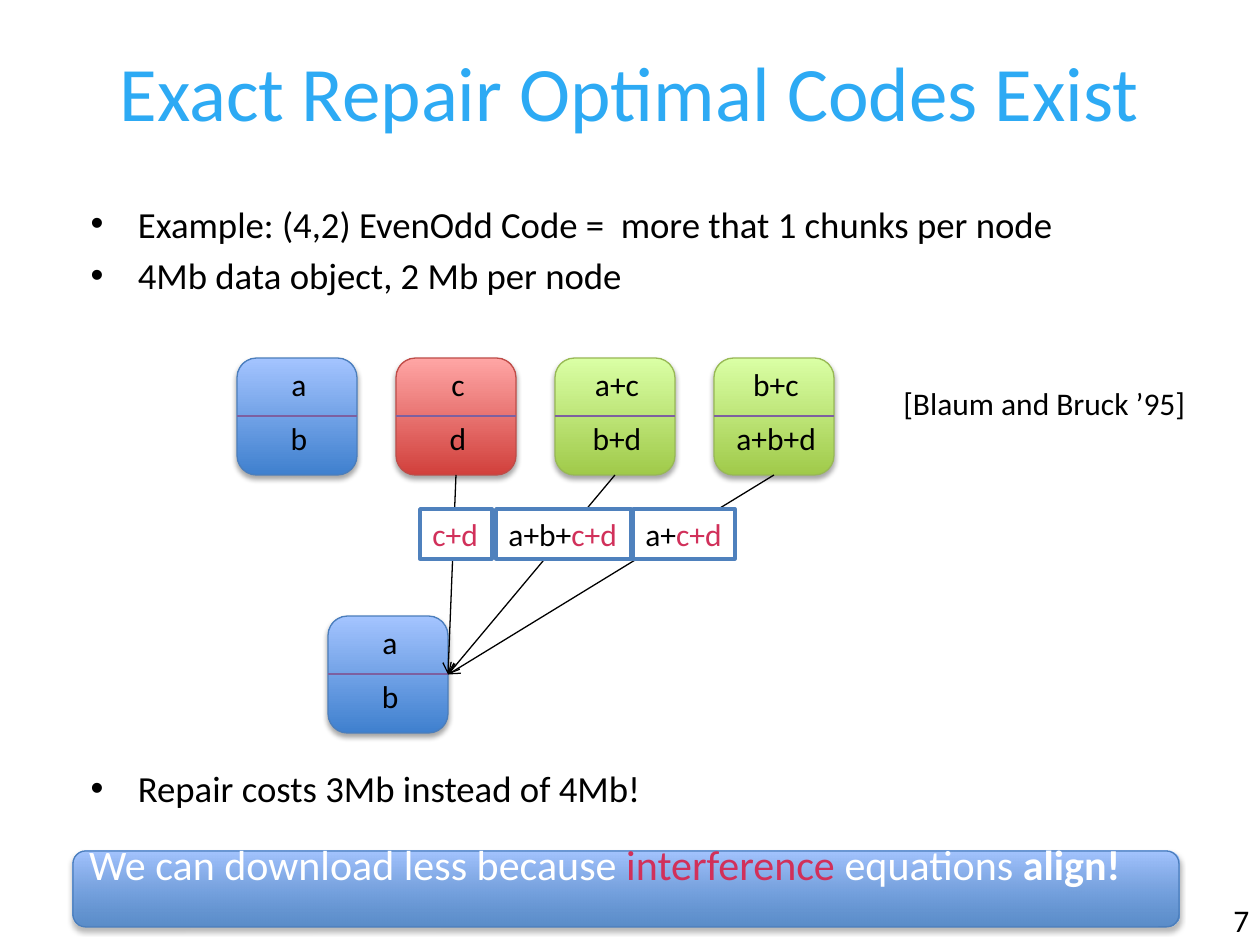
from lxml.etree import SubElement
from pptx import Presentation
from pptx.dml.color import RGBColor
from pptx.enum.shapes import MSO_CONNECTOR, MSO_SHAPE
from pptx.enum.text import MSO_ANCHOR, MSO_AUTO_SIZE, PP_ALIGN
from pptx.oxml.ns import qn
from pptx.util import Emu, Pt

FONT = "Calibri"
BLACK, WHITE, CRIMSON, SKY = "000000", "FFFFFF", "D1305A", "2DAAF4"
BLUE = ("3F80CE", "A4C4FF", "4B7EBC")
RED = ("D1403C", "FFA6A5", "BF4C48")
GREEN = ("A0CA4A", "DAFFA5", "98B955")
NODE_W, NODE_H, NODE_PITCH = 120, 117, 159
LABEL_WIDTHS = {"a": 40, "b": 42, "c": 39, "d": 42,
                "a+c": 71, "b+d": 74, "b+c": 72, "a+b+d": 106}


def px(n):
    return Emu(round(n * 914400 / 126))


def rgb(value):
    return RGBColor.from_string(value)


def add_run(p, text, size, color=BLACK, bold=None):
    r = p.add_run()
    r.text = text
    r.font.name = FONT
    r.font.size = Pt(size)
    r.font.color.rgb = rgb(color)
    r.font.bold = bold


def fill_placeholder(sp, box, paragraphs, size, color):
    sp.left, sp.top, sp.width, sp.height = map(px, box)
    tf = sp.text_frame
    tf.auto_size = MSO_AUTO_SIZE.NONE
    tf.vertical_anchor = MSO_ANCHOR.TOP
    for i, (text, before) in enumerate(paragraphs):
        p = tf.add_paragraph() if i else tf.paragraphs[0]
        p.space_before = Pt(before)
        add_run(p, text, size, color)


def add_text(s, x, y, w, text, align=PP_ALIGN.LEFT):
    tf = s.shapes.add_textbox(px(x), px(y), px(w), px(50)).text_frame
    tf.word_wrap = False
    p = tf.paragraphs[0]
    p.alignment = align
    add_run(p, text, 18)


def add_line(s, x1, y1, x2, y2, color):
    line = s.shapes.add_connector(MSO_CONNECTOR.STRAIGHT, px(x1), px(y1), px(x2), px(y2))
    line.line.color.rgb = rgb(color)
    line.line.width = Pt(0.75)
    SubElement(line._element.spPr, qn("a:effectLst"))
    return line


def add_arrow(s, source, target):
    arrow = add_line(s, 0, 0, 0, 0, BLACK)
    arrow.begin_connect(source, 2)
    arrow.end_connect(target, 3)
    SubElement(arrow.line._get_or_add_ln(), qn("a:tailEnd"), type="arrow")


def add_panel(s, x, y, w, h, colors):
    dark, light, border = colors
    sp = s.shapes.add_shape(MSO_SHAPE.ROUNDED_RECTANGLE, px(x), px(y), px(w), px(h))
    sp.fill.gradient()
    sp.fill.gradient_angle = 90
    for stop, color, position in zip(sp.fill.gradient_stops, (dark, light), (0, 1)):
        stop.color.rgb = rgb(color)
        stop.position = position
    sp.line.color.rgb = rgb(border)
    sp.line.width = Pt(0.75)
    sp.shadow.inherit = False
    effects = sp._element.spPr.find(qn("a:effectLst"))
    shadow = SubElement(effects, qn("a:outerShdw"), blurRad="39370", dist="22860",
                        dir="5400000", rotWithShape="0")
    color = SubElement(shadow, qn("a:srgbClr"), val=BLACK)
    SubElement(color, qn("a:alpha"), val="35000")
    return sp


def add_node(s, x, y, chunks, colors):
    node = add_panel(s, x, y, NODE_W, NODE_H, colors)
    add_line(s, x, y + 58, x + NODE_W, y + 58, "7D60A0")
    for text, dy in zip(chunks, (1, 55)):
        w = LABEL_WIDTHS[text]
        add_text(s, x + 2 + (NODE_W - w) / 2, y + dy, w, text, PP_ALIGN.CENTER)
    return node


def add_packet(s, x, w, known):
    sp = s.shapes.add_shape(MSO_SHAPE.RECTANGLE, px(x), px(509), px(w), px(50))
    sp.shadow.inherit = False
    sp.fill.solid()
    sp.fill.fore_color.rgb = rgb(WHITE)
    sp.line.color.rgb = rgb("4F81BD")
    sp.line.width = Pt(2)
    tf = sp.text_frame
    tf.word_wrap = False
    p = tf.paragraphs[0]
    p.alignment = PP_ALIGN.LEFT
    if known:
        add_run(p, known, 18)
    add_run(p, "c+d", 18, CRIMSON)


def add_banner(s):
    sp = add_panel(s, 73, 851, 1106, 76, BLUE)
    dark = sp._element.spPr.find(".//" + qn("a:gs")).find(qn("a:srgbClr"))
    SubElement(dark, qn("a:alpha"), val="77000")
    tf = sp.text_frame
    tf.word_wrap = True
    tf.vertical_anchor = MSO_ANCHOR.MIDDLE
    tf.margin_top, tf.margin_bottom = px(0), px(50)
    p = tf.paragraphs[0]
    p.alignment = PP_ALIGN.LEFT
    add_run(p, "We can download less because ", 24, WHITE)
    add_run(p, "interference ", 24, CRIMSON)
    add_run(p, "equations ", 24, WHITE)
    add_run(p, "align!", 24, WHITE, True)


def main():
    prs = Presentation()
    prs.slide_width, prs.slide_height = px(1260), px(945)
    s = prs.slides.add_slide(prs.slide_layouts[1])
    fill_placeholder(s.shapes.title, (63, 38, 1134, 157),
                     [("Exact Repair Optimal Codes Exist", 0)], 44, SKY)
    fill_placeholder(s.placeholders[1], (78, 195, 1182, 141), [
        ("Example: (4,2) EvenOdd Code =  more that 1 chunks per node", 0),
        ("4Mb data object, 2 Mb per node", 4),
        ("Repair costs 3Mb instead of 4Mb!", 268),
    ], 21, BLACK)
    add_text(s, 891, 378, 338, "[Blaum and Bruck ’95]")

    contents = [(("a", "b"), BLUE), (("c", "d"), RED),
                (("a+c", "b+d"), GREEN), (("b+c", "a+b+d"), GREEN)]
    nodes = [add_node(s, 237 + i * NODE_PITCH, 358, chunks, colors)
             for i, (chunks, colors) in enumerate(contents)]
    repaired = add_node(s, 328, 616, ("a", "b"), BLUE)
    for node in nodes[1:]:
        add_arrow(s, node, repaired)
    for x, w, known in [(496, 135, "a+b+"), (633, 102, "a+"), (420, 72, "")]:
        add_packet(s, x, w, known)

    add_banner(s)
    add_text(s, 1221, 895, 39, "7")
    prs.save("out.pptx")


if __name__ == "__main__":
    main()
